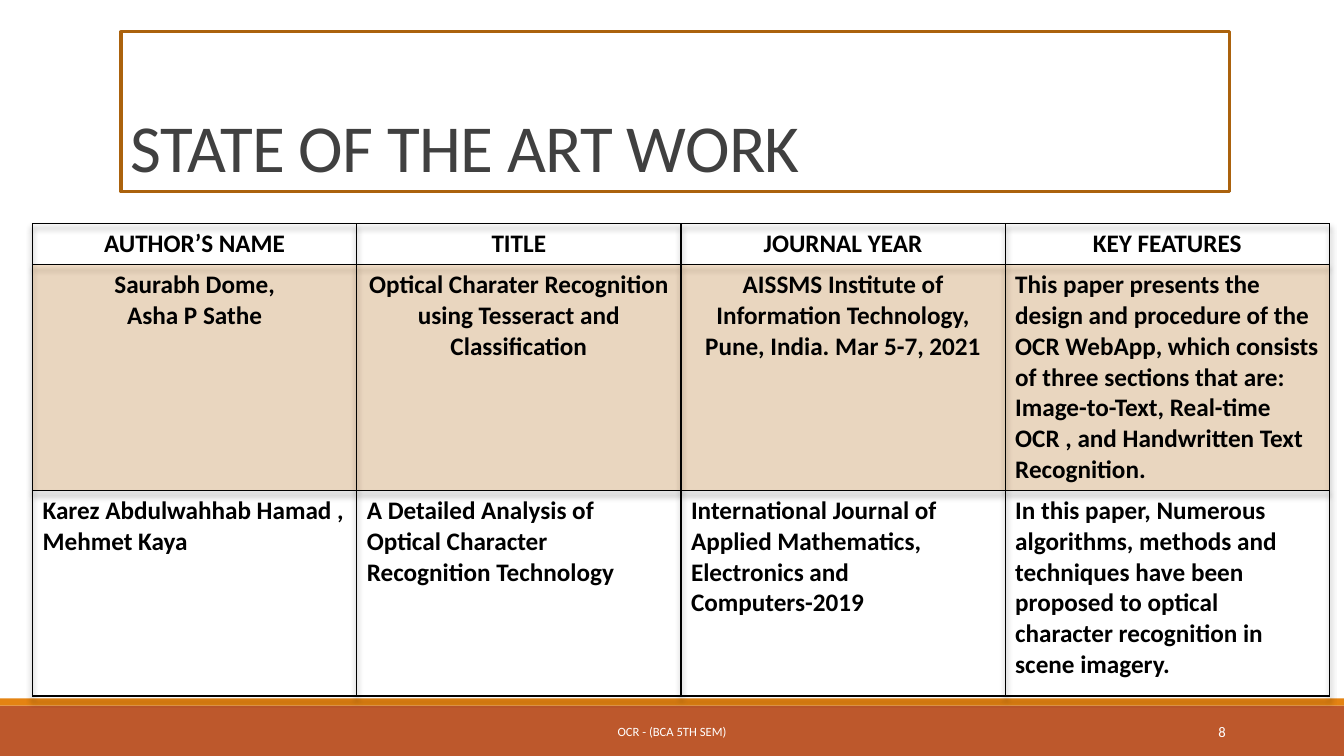
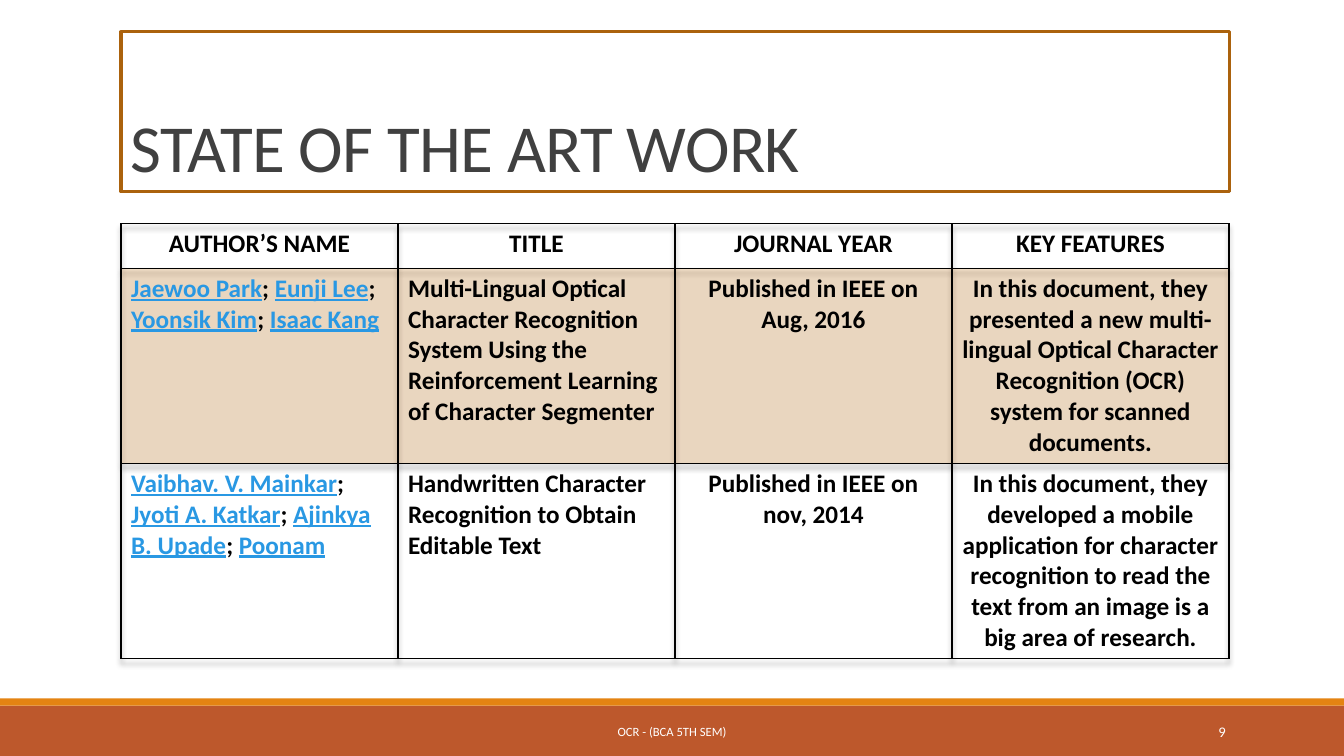
from dataclasses import dataclass

from lxml import etree
from pptx import Presentation
from pptx import util as u
from pptx.dml.color import RGBColor
from pptx.enum import shapes, text
from pptx.oxml import parse_xml
from pptx.oxml.ns import nsdecls, qn


@dataclass(frozen=True)
class Theme:
    font: str = "Calibri"
    band: str = "BD582C"
    accent: str = "E48312"
    frame: str = "AB620D"
    rule: str = "808080"
    title: str = "404040"
    body: str = "000000"
    link: str = "2998E3"
    footer: str = "FFFFFF"
    title_size: float = 48
    body_size: float = 18
    footer_size: float = 9
    number_size: float = 10.5
    tint_percent: int = 20


@dataclass(frozen=True)
class Box:
    left: float
    top: float
    width: float
    height: float

    def lengths(self) -> tuple:
        return tuple(u.Cm(value) for value in (self.left, self.top, self.width, self.height))


@dataclass(frozen=True)
class Entry:
    paragraphs: tuple
    centred: bool = False
    linked: bool = False


@dataclass(frozen=True)
class PaperSlide:
    number: int
    left: float
    column_width: float
    row_heights: tuple
    papers: tuple


THEME = Theme()
LEFT, CENTER, RIGHT = text.PP_ALIGN.LEFT, text.PP_ALIGN.CENTER, text.PP_ALIGN.RIGHT
SLIDE_WIDTH, SLIDE_HEIGHT = 33.87, 19.05
TABLE_TOP = 5.64
TITLE_BOX = Box(3.05, 0.8, 27.94, 4.03)
BAND_BOX = Box(0, 17.78, SLIDE_WIDTH, 1.27)
STRIPE_BOX = Box(0, 17.6, SLIDE_WIDTH, 0.18)
FOOTER_BOX = Box(10.24, 17.93, 13.39, 1.02)
NUMBER_BOX = Box(27.5, 17.93, 3.64, 1.02)
TITLE = "STATE OF THE ART WORK"
FOOTER = "OCR - (BCA 5TH SEM)"
HEADINGS = tuple(
    Entry((heading,), centred=True)
    for heading in ("AUTHOR’S NAME", "TITLE", "JOURNAL YEAR", "KEY FEATURES")
)

SLIDES = (
    PaperSlide(8, 0.82, 8.17, (1.03, 5.69, 5.18), (
        (
            Entry(("Saurabh Dome,", "Asha P Sathe"), centred=True),
            Entry(("Optical Charater Recognition using Tesseract and Classification",), centred=True),
            Entry(("AISSMS Institute of Information Technology, Pune, India. Mar 5-7, 2021",), centred=True),
            Entry(("This paper presents the design and procedure of the OCR WebApp, which consists "
                   "of three sections that are: Image-to-Text, Real-time OCR , and Handwritten Text "
                   "Recognition.",)),
        ),
        (
            Entry(("Karez Abdulwahhab Hamad , Mehmet Kaya",)),
            Entry(("A Detailed Analysis of Optical Character Recognition Technology",)),
            Entry(("International Journal of", "Applied Mathematics,", "Electronics and Computers-2019")),
            Entry(("In this paper, Numerous algorithms, methods and techniques have been",
                   "proposed to optical character recognition in scene imagery.")),
        ),
    )),
    PaperSlide(9, 3.05, 6.98, (1.12, 4.92, 4.92), (
        (
            Entry(("Jaewoo Park; Eunji Lee; Yoonsik Kim; Isaac Kang",), linked=True),
            Entry(("Multi-Lingual Optical Character Recognition System Using the Reinforcement "
                   "Learning of Character Segmenter",)),
            Entry(("Published in IEEE on Aug, 2016",), centred=True),
            Entry(("In this document, they presented a new multi-lingual Optical Character "
                   "Recognition (OCR) system for scanned documents.",), centred=True),
        ),
        (
            Entry(("Vaibhav. V. Mainkar; Jyoti A. Katkar; Ajinkya B. Upade; Poonam",), linked=True),
            Entry(("Handwritten Character Recognition to Obtain Editable Text",)),
            Entry(("Published in IEEE on nov, 2014",), centred=True),
            Entry(("In this document, they developed a mobile application for character "
                   "recognition to read the text from an image is a big area of research.",), centred=True),
        ),
    )),
)


def write(frame, *paragraphs: str, size: float, color: str, bold: bool = False,
          align=LEFT, anchor=None, line_spacing: float | None = None,
          tracking: float = 0, linked: bool = False) -> None:
    frame.word_wrap = True
    if anchor is not None:
        frame.vertical_anchor = anchor
    for index, content in enumerate(paragraphs):
        paragraph = frame.add_paragraph() if index else frame.paragraphs[0]
        paragraph.alignment = align
        if line_spacing:
            paragraph.line_spacing = line_spacing
        names = content.split("; ") if linked else [content]
        pieces = [(names[0], linked)]
        for name in names[1:]:
            pieces += [("; ", False), (name, True)]
        for piece, is_link in pieces:
            run = paragraph.add_run()
            run.text = piece
            font = run.font
            font.name, font.size, font.bold = THEME.font, u.Pt(size), bold
            font.color.rgb = RGBColor.from_string(THEME.link if is_link else color)
            if is_link:
                font.underline = True
            if tracking:
                run._r.get_or_add_rPr().set("spc", str(round(tracking * 100)))


def add_rectangle(slide, box: Box, fill: str | None = None, line: str | None = None):
    shape = slide.shapes.add_shape(shapes.MSO_SHAPE.RECTANGLE, *box.lengths())
    shape.shadow.inherit = False
    if fill:
        shape.fill.solid()
        shape.fill.fore_color.rgb = RGBColor.from_string(fill)
    else:
        shape.fill.background()
    if line:
        shape.line.color.rgb = RGBColor.from_string(line)
        shape.line.width = u.Pt(2.25)
    else:
        shape.line.fill.background()
    return shape


def add_rule(slide) -> None:
    y = u.Cm(TITLE_BOX.top + TITLE_BOX.height)
    connector = slide.shapes.add_connector(
        shapes.MSO_CONNECTOR.STRAIGHT, u.Cm(3.33), y, u.Cm(31.01), y)
    connector.line.color.rgb = RGBColor.from_string(THEME.rule)
    connector.line.width = u.Pt(0.5)
    etree.SubElement(connector._element.spPr, qn("a:effectLst"))


def add_label(slide, box: Box, content: str, size: float, align) -> None:
    label = slide.shapes.add_textbox(*box.lengths())
    write(label.text_frame, content, size=size, color=THEME.footer, align=align,
          anchor=text.MSO_ANCHOR.MIDDLE)


def style_cell(cell, tinted: bool) -> None:
    if tinted:
        cell.fill.solid()
        cell.fill.fore_color.rgb = RGBColor.from_string(THEME.accent)
        color = cell._tc.tcPr.find(".//" + qn("a:srgbClr"))
        etree.SubElement(color, qn("a:alpha"), val=str(THEME.tint_percent * 1000))
    else:
        cell.fill.background()
    for index, side in enumerate(("lnL", "lnR", "lnT", "lnB")):
        cell._tc.tcPr.insert(index, parse_xml(
            f'<a:{side} {nsdecls("a")} w="{u.Pt(1)}"><a:solidFill>'
            f'<a:srgbClr val="{THEME.body}"/></a:solidFill></a:{side}>'))


def add_papers(slide, content: PaperSlide) -> None:
    rows = (HEADINGS, *content.papers)
    box = Box(content.left, TABLE_TOP, content.column_width * len(HEADINGS), sum(content.row_heights))
    table = slide.shapes.add_table(len(rows), len(HEADINGS), *box.lengths()).table
    table.first_row = table.horz_banding = False
    table._tbl.tblPr.insert(0, parse_xml(
        f'<a:effectLst {nsdecls("a")}><a:outerShdw blurRad="50800" dist="38100" '
        f'dir="5400000" algn="t" rotWithShape="0"><a:srgbClr val="{THEME.body}">'
        '<a:alpha val="40000"/></a:srgbClr></a:outerShdw></a:effectLst>'))
    for column in table.columns:
        column.width = u.Cm(content.column_width)
    for row_index, (entries, height) in enumerate(zip(rows, content.row_heights)):
        table.rows[row_index].height = u.Cm(height)
        for column_index, entry in enumerate(entries):
            cell = table.cell(row_index, column_index)
            style_cell(cell, tinted=row_index == 1)
            write(cell.text_frame, *entry.paragraphs, size=THEME.body_size, color=THEME.body,
                  bold=True, align=CENTER if entry.centred else LEFT, linked=entry.linked)


def add_paper_slide(presentation, content: PaperSlide) -> None:
    slide = presentation.slides.add_slide(presentation.slide_layouts[6])
    add_rectangle(slide, BAND_BOX, fill=THEME.band)
    add_rectangle(slide, STRIPE_BOX, fill=THEME.accent)
    add_rule(slide)
    title = add_rectangle(slide, TITLE_BOX, line=THEME.frame)
    write(title.text_frame, TITLE, size=THEME.title_size, color=THEME.title,
          anchor=text.MSO_ANCHOR.BOTTOM, line_spacing=0.85, tracking=-0.5)
    add_papers(slide, content)
    add_label(slide, FOOTER_BOX, FOOTER, THEME.footer_size, CENTER)
    add_label(slide, NUMBER_BOX, str(content.number), THEME.number_size, RIGHT)


def main() -> None:
    presentation = Presentation()
    presentation.slide_width = u.Cm(SLIDE_WIDTH)
    presentation.slide_height = u.Cm(SLIDE_HEIGHT)
    for content in SLIDES:
        add_paper_slide(presentation, content)
    presentation.save("out.pptx")


if __name__ == "__main__":
    main()
